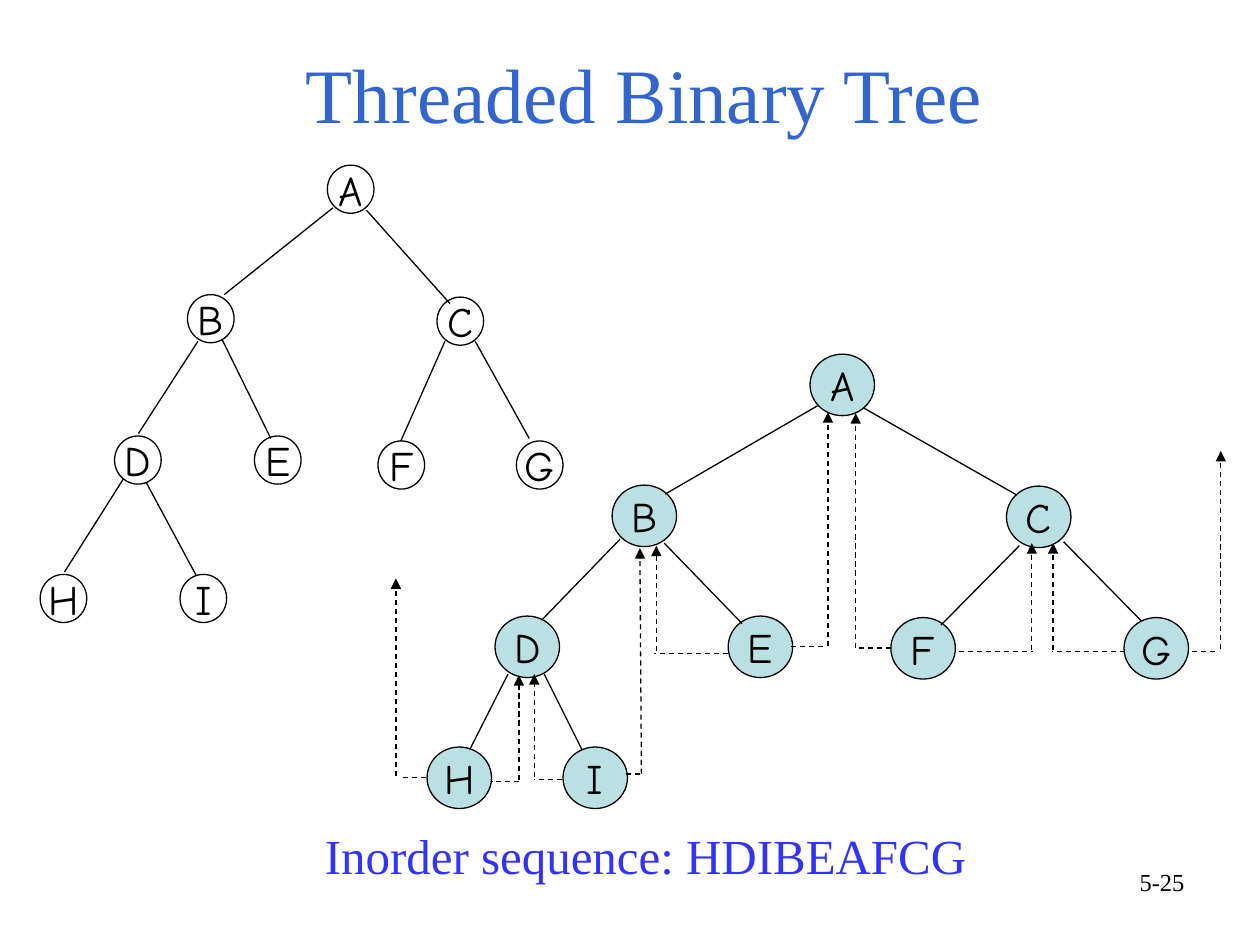
from lxml import etree
from pptx import Presentation
from pptx.dml.color import RGBColor
from pptx.enum.dml import MSO_LINE_DASH_STYLE as Dash
from pptx.enum.shapes import MSO_CONNECTOR as Link, MSO_SHAPE as Shape
from pptx.enum.text import MSO_ANCHOR as Anchor, MSO_AUTO_SIZE as Fit, PP_ALIGN as Align
from pptx.oxml.ns import qn
from pptx.util import Cm, Pt

BLACK = RGBColor(0x00, 0x00, 0x00)
TITLE_BLUE = RGBColor(0x33, 0x66, 0xCC)
CAPTION_BLUE = RGBColor(0x33, 0x33, 0xFF)
NODE_TEAL = RGBColor(0xBB, 0xE0, 0xE3)

SERIF = "Times New Roman"
HAND = "Comic Neue"
LINE_WIDTH = Pt(0.75)

PLAIN_NODES = {
    "A": (6.6, 3.33), "B": (3.78, 5.94), "C": (8.81, 5.99),
    "D": (2.31, 8.79), "E": (5.13, 8.79), "F": (7.62, 8.89),
    "G": (10.41, 8.89), "H": (0.81, 11.58), "I": (3.63, 11.58),
}
PLAIN_EDGES = [
    (6.71, 4.19, 4.52, 5.94), (7.39, 4.24, 9.07, 6.12),
    (3.99, 6.88, 2.79, 8.74), (4.47, 6.83, 5.46, 8.84),
    (8.97, 6.88, 8.08, 8.89), (9.58, 6.88, 10.67, 8.84),
    (2.49, 9.65, 1.3, 11.53), (2.95, 9.73, 3.96, 11.61),
]
THREADED_NODES = {
    "A": (16.33, 7.14), "B": (12.34, 9.78), "C": (20.29, 9.8),
    "D": (9.98, 12.42), "E": (14.68, 12.42), "F": (17.96, 12.45),
    "G": (22.66, 12.45), "H": (8.61, 15.06), "I": (11.35, 15.06),
}
THREADED_EDGES = [
    (16.48, 8.18, 13.41, 9.96), (17.42, 8.23, 20.5, 9.98),
    (12.5, 10.87, 10.92, 12.5), (13.39, 10.95, 14.96, 12.57),
    (20.55, 11, 18.97, 12.6), (21.44, 10.92, 23.01, 12.52),
    (10.24, 13.59, 9.47, 15.11), (10.97, 13.59, 11.73, 15.11),
]
THREADS = [
    ((8.59, 15.67, 8.05, 15.67), (7.98, 15.65, 7.98, 11.66)),
    ((10.46, 15.75, 9.91, 15.75), (10.46, 15.72, 10.46, 13.61)),
    ((11.33, 15.72, 10.77, 15.72), (10.77, 15.67, 10.77, 13.59)),
    ((12.62, 15.6, 12.9, 15.6), (12.93, 15.6, 12.9, 11.05)),
    ((14.68, 13.18, 13.18, 13.18), (13.23, 13.13, 13.23, 11)),
    ((15.95, 13.03, 16.64, 13.03), (16.69, 13.03, 16.69, 8.31)),
    ((17.96, 13.06, 17.3, 13.06), (17.25, 13.06, 17.25, 8.33)),
    ((19.33, 13.13, 20.83, 13.13), (20.8, 13.11, 20.8, 10.95)),
    ((22.68, 13.13, 21.21, 13.13), (21.23, 13.11, 21.23, 10.95)),
    ((24.03, 13.13, 24.54, 13.13), (24.61, 13.08, 24.61, 9.09)),
]


def apply(target, values):
    for name, value in values.items():
        setattr(target, name, value)


def write(box, text, font, size, color, frame_format, align):
    frame = box.text_frame
    apply(frame, frame_format)
    para = frame.paragraphs[0]
    para.alignment = align
    span = para.add_run()
    span.text = text
    apply(span.font, {"name": font, "size": Pt(size)})
    span.font.color.rgb = color


def add_title(page, text):
    title = page.shapes.title
    apply(title, {"left": Cm(1.9), "top": Cm(0.97), "width": Cm(22.17), "height": Cm(1.96)})
    frame_format = {"vertical_anchor": Anchor.BOTTOM, "auto_size": Fit.NONE, "word_wrap": True}
    write(title, text, SERIF, 44, TITLE_BLUE, frame_format, Align.CENTER)


def add_label(page, text, place, size, color, align, fit):
    box = page.shapes.add_textbox(*map(Cm, place))
    write(box, text, SERIF, size, color, {"word_wrap": True, "auto_size": fit}, align)


def add_node(tree, letter, place, size, fill):
    node = tree.shapes.add_shape(Shape.OVAL, *map(Cm, place + size))
    node.shadow.inherit = False
    if fill is None:
        node.fill.background()
    else:
        node.fill.solid()
        node.fill.fore_color.rgb = fill
    node.line.color.rgb = BLACK
    node.line.width = LINE_WIDTH
    frame_format = {"vertical_anchor": Anchor.MIDDLE, "word_wrap": False}
    write(node, letter, HAND, 24, BLACK, frame_format, Align.CENTER)


def add_line(tree, ends, dash=None, arrow=False):
    line = tree.shapes.add_connector(Link.STRAIGHT, *map(Cm, ends))
    line.line.color.rgb = BLACK
    apply(line.line, {"width": LINE_WIDTH, "dash_style": dash})
    if arrow:
        etree.SubElement(line.line._get_or_add_ln(), qn("a:tailEnd"), type="triangle")
    etree.SubElement(line._element.spPr, qn("a:effectLst"))


def add_tree(page, nodes, edges, size, fill=None, threads=()):
    tree = page.shapes.add_group_shape()
    for letter, place in nodes.items():
        add_node(tree, letter, place, size, fill)
    for ends in edges:
        add_line(tree, ends)
    for stub, rise in threads:
        add_line(tree, stub, Dash.DASH)
        add_line(tree, rise, Dash.DASH, arrow=True)


def main():
    deck = Presentation()
    apply(deck, {"slide_width": Cm(25.4), "slide_height": Cm(19.05)})
    page = deck.slides.add_slide(deck.slide_layouts[5])
    add_title(page, "Threaded Binary Tree")
    add_tree(page, THREADED_NODES, THREADED_EDGES, (1.3, 1.24), NODE_TEAL, THREADS)
    add_label(page, "Inorder sequence: HDIBEAFCG", (6.3, 16.51, 16.13, 1.45),
              28, CAPTION_BLUE, Align.LEFT, Fit.SHAPE_TO_FIT_TEXT)
    add_tree(page, PLAIN_NODES, PLAIN_EDGES, (0.94, 0.97))
    add_label(page, "5-25", (18.21, 17.35, 5.92, 1.32), 14, BLACK, Align.RIGHT, Fit.NONE)
    deck.save("out.pptx")


if __name__ == "__main__":
    main()
